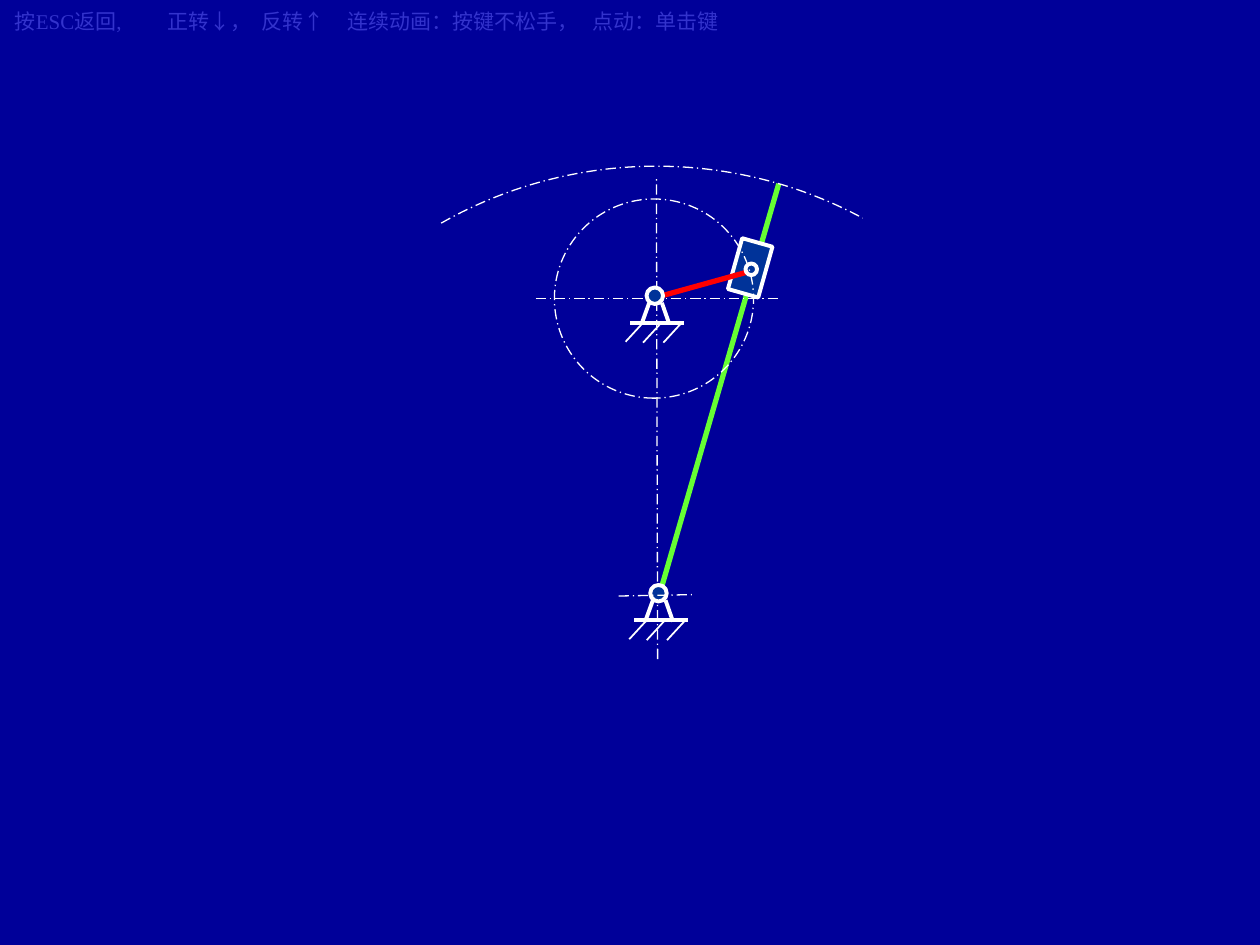
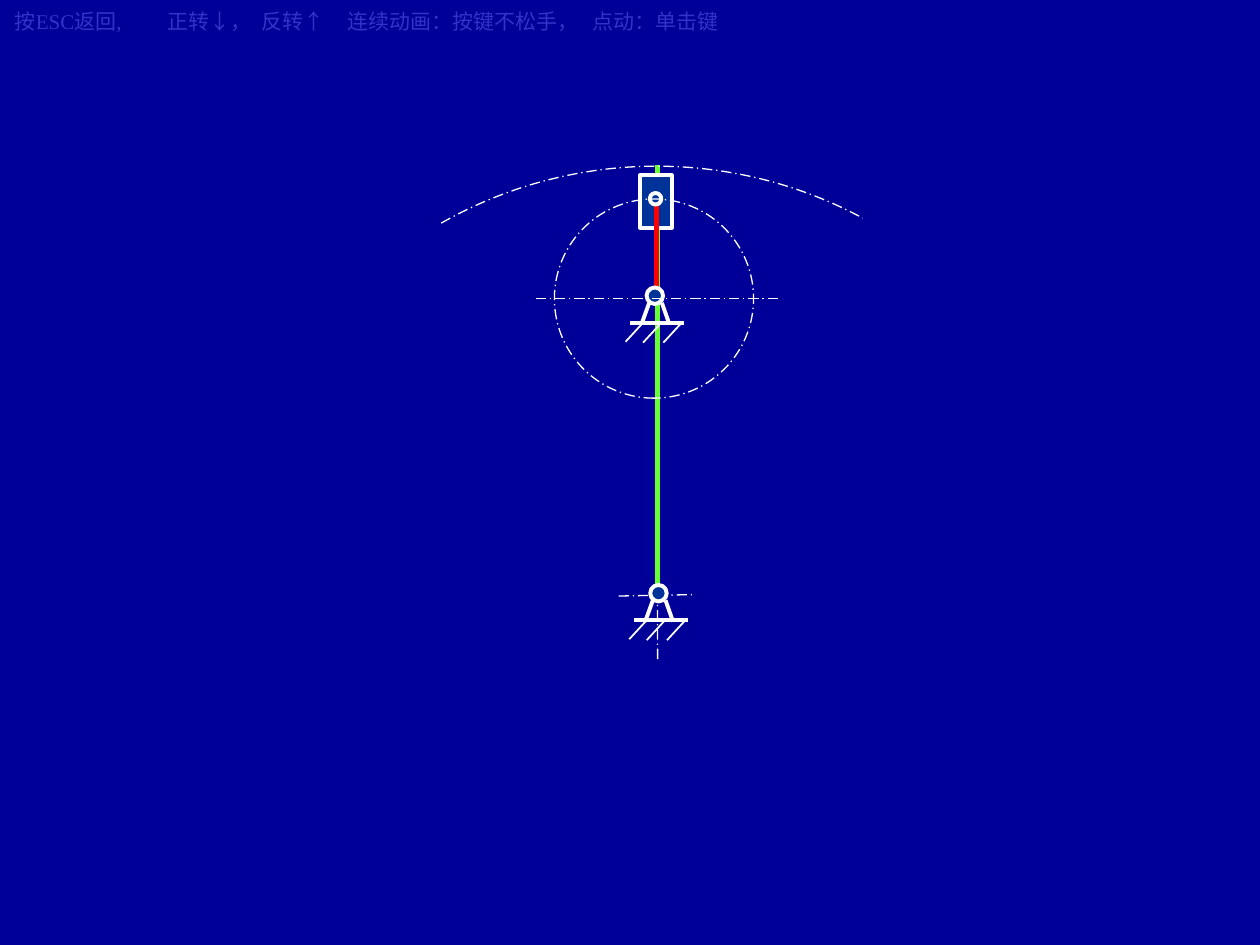
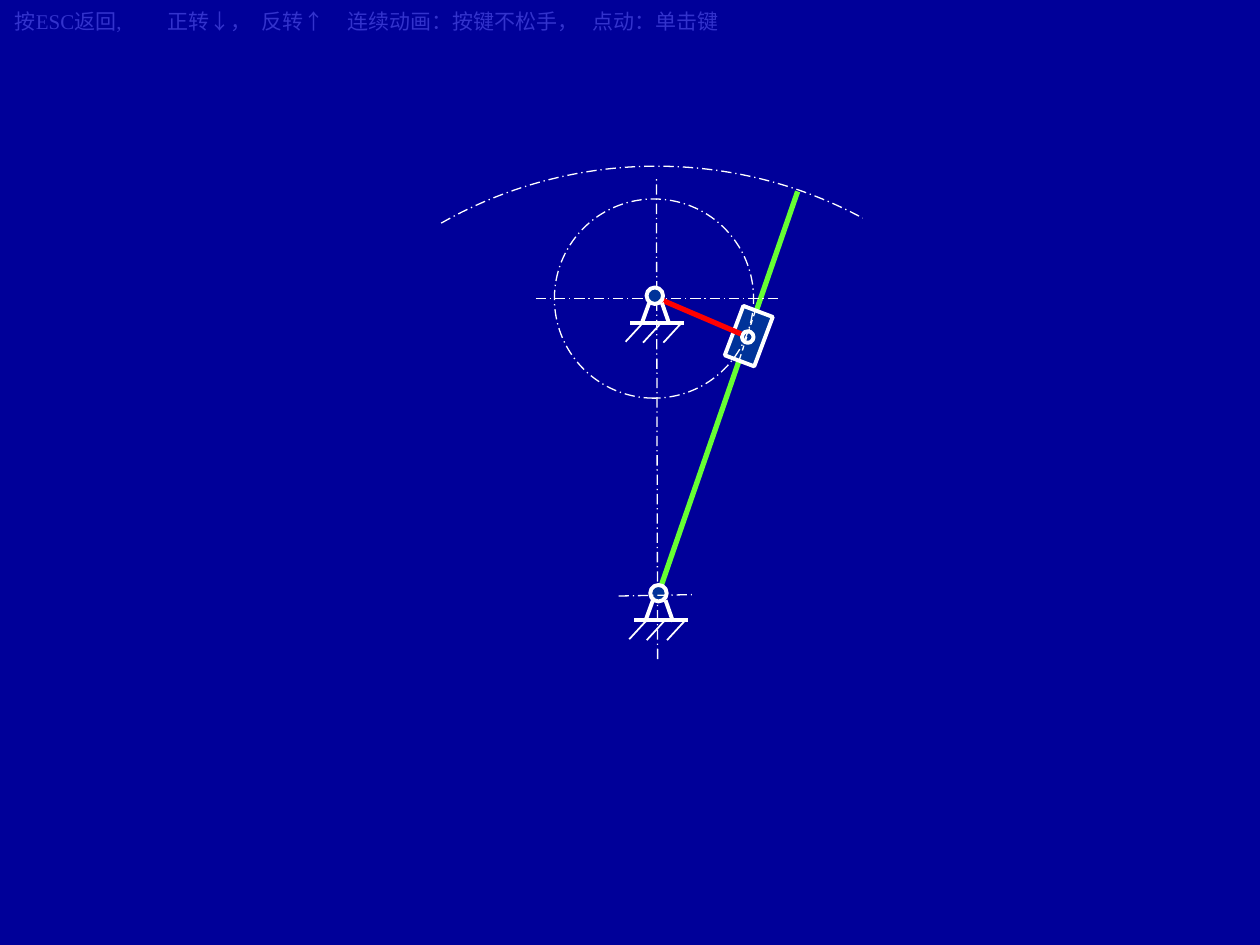
from lxml import etree
from pptx import Presentation
from pptx.dml.color import RGBColor
from pptx.enum import dml, shapes, text
from pptx.oxml import ns
from pptx.util import Pt

NAVY = RGBColor(0x00, 0x00, 0x99)
BLUE = RGBColor(0x33, 0x33, 0xCC)
STEEL = RGBColor(0x00, 0x33, 0x99)
GREEN = RGBColor(0x66, 0xFF, 0x33)
RED = RGBColor(0xFF, 0x00, 0x00)
WHITE = RGBColor(0xFF, 0xFF, 0xFF)
FONT = "Times New Roman"
CENTRE_DASH = dml.MSO_LINE.LONG_DASH_DOT
HEAVY, MEDIUM, THIN = 2.25, 1, 0.75

HINTS = ["按ESC返回,", "正转↓，", "反转↑", "连续动画：按键不松手，", "点动：单击键"]
HINT_STOPS = [87.5, 141, 190, 330]

AXES = {
    "vertical axis": ((375.8, 376.6), (375.1, 100.8)),
    "crank axis": ((306, 170.6), (445, 170.6)),
    "rocker axis": ((353.5, 340.6), (395.3, 339.8)),
}
SUPPORTS = {"crank support": (374.2, 169), "rocker support": (376.3, 339)}
PIVOT_SIZE = 9.4
SUPPORT_FRAME = [((-14, 15.5), (16.9, 15.5)), ((-3.2, 4), (-7.6, 16.2)), ((4, 4), (8.3, 16.2))]
HATCH_STARTS = [(-6.8, 15.5), (3.2, 16), (14.8, 16)]
HATCH_RUN, HATCH_DROP = -9.9, 10.8
CRANK_CIRCLE = ((373.7, 170.6), 113.8)
ROCKER_ARC = ((375.2, 339.8), (493.9, 489.6), (239.9, 298.7))
SLIDER_SIZE = (18, 30.2)
PIN_SIZE = 6.6

BACKDROP = ["vertical axis", "crank circle", "crank axis", "rocker arc",
            "rocker support", "crank support", "rocker axis"]
POSITIONS = [
    {
        "rocker": ((376.6, 340.6), (445, 105.1)),
        "crank": ((375.1, 169.9), (427, 155.5)),
        "slider": ((428.7, 153.1), 15.7),
        "pin": (429.3, 153.9),
        "order": ["rocker", "slider", "crank", "pin"] + BACKDROP,
    },
    {
        "rocker": ((375.8, 334.1), (375.8, 94.3)),
        "crank": ((375.1, 164.2), (375.1, 116.6)),
        "slider": ((374.8, 115.2), 0),
        "pin": (374.6, 113.6),
        "order": ["vertical axis", "rocker", "slider", "crank", "pin", "crank circle",
                  "rocker arc", "crank support", "rocker axis", "rocker support", "crank axis"],
    },
    {
        "rocker": ((375.8, 340.6), (455.8, 109.4)),
        "crank": ((378, 171.4), (423.4, 190.8)),
        "slider": ((427.9, 192.1), 20.6),
        "pin": (427.3, 192.6),
        "guide": ((422.6, 205.2), (432, 176.4)),
        "order": ["rocker", "slider", "pin", "crank", "guide"] + BACKDROP,
    },
]


def draw_line(canvas, ends, color, width, dash=None):
    (x1, y1), (x2, y2) = ends
    line = canvas.add_connector(shapes.MSO_CONNECTOR.STRAIGHT, Pt(x1), Pt(y1), Pt(x2), Pt(y2))
    line.line.color.rgb = color
    line.line.width = Pt(width)
    if dash:
        line.line.dash_style = dash
    etree.SubElement(line._element.spPr, ns.qn("a:effectLst"))


def draw_part(canvas, preset, centre, size, rotation=0, fill=STEEL, width=HEAVY, dash=None):
    (x, y), (w, h) = centre, size
    part = canvas.add_shape(preset, Pt(x - w / 2), Pt(y - h / 2), Pt(w), Pt(h))
    part.rotation = rotation
    part.shadow.inherit = False
    if fill is None:
        part.fill.background()
    else:
        part.fill.solid()
        part.fill.fore_color.rgb = fill
    part.line.color.rgb = WHITE
    part.line.width = Pt(width)
    if dash:
        part.line.dash_style = dash
    return part


def draw_support(slide, pivot):
    def place(point):
        return pivot[0] + point[0], pivot[1] + point[1]

    support = slide.shapes.add_group_shape().shapes
    draw_part(support, shapes.MSO_SHAPE.OVAL, pivot, (PIVOT_SIZE, PIVOT_SIZE))
    for start, end in SUPPORT_FRAME:
        draw_line(support, (place(start), place(end)), WHITE, HEAVY)
    for x, y in HATCH_STARTS:
        draw_line(support, (place((x, y)), place((x + HATCH_RUN, y + HATCH_DROP))), WHITE, MEDIUM)


def draw_rocker_arc(canvas):
    centre, size, angles = ROCKER_ARC
    arc = draw_part(canvas, shapes.MSO_SHAPE.ARC, centre, size, 0, None, THIN, CENTRE_DASH)
    for index, angle in enumerate(angles):
        arc.adjustments[index] = angle * 0.6


def draw_named(slide, name, position):
    canvas = slide.shapes
    if name in AXES:
        draw_line(canvas, AXES[name], WHITE, THIN, CENTRE_DASH)
    elif name in SUPPORTS:
        draw_support(slide, SUPPORTS[name])
    elif name == "crank circle":
        centre, size = CRANK_CIRCLE
        draw_part(canvas, shapes.MSO_SHAPE.OVAL, centre, (size, size), 270, None, THIN, CENTRE_DASH)
    elif name == "rocker arc":
        draw_rocker_arc(canvas)
    elif name == "slider":
        centre, rotation = position["slider"]
        draw_part(canvas, shapes.MSO_SHAPE.RECTANGLE, centre, SLIDER_SIZE, rotation)
    elif name == "pin":
        draw_part(canvas, shapes.MSO_SHAPE.OVAL, position["pin"], (PIN_SIZE, PIN_SIZE))
    elif name == "guide":
        draw_line(canvas, position["guide"], WHITE, THIN, dml.MSO_LINE.DASH)
    else:
        draw_line(canvas, position[name], {"rocker": GREEN, "crank": RED}[name], 3)


def write_hints(slide):
    hints = slide.shapes.add_textbox(Pt(1.4), Pt(1.4), Pt(467.3), Pt(21.6)).text_frame
    hints.word_wrap = True
    hints.auto_size = text.MSO_AUTO_SIZE.SHAPE_TO_FIT_TEXT
    hints.text = "\t".join(HINTS)
    paragraph = hints.paragraphs[0]
    stops = etree.SubElement(paragraph._p.get_or_add_pPr(), ns.qn("a:tabLst"))
    for stop in HINT_STOPS:
        etree.SubElement(stops, ns.qn("a:tab"), pos=str(Pt(stop)), algn="l")
    for run in paragraph.runs:
        run.font.name = FONT
        run.font.size = Pt(12)
        run.font.color.rgb = BLUE


def main():
    deck = Presentation()
    deck.slide_width, deck.slide_height = Pt(720), Pt(540)
    backdrop = deck.slide_master.background.fill
    backdrop.solid()
    backdrop.fore_color.rgb = NAVY
    blank = deck.slide_layouts[6]
    for position in POSITIONS:
        slide = deck.slides.add_slide(blank)
        for name in position["order"]:
            draw_named(slide, name, position)
        write_hints(slide)
    deck.save("out.pptx")


if __name__ == "__main__":
    main()
